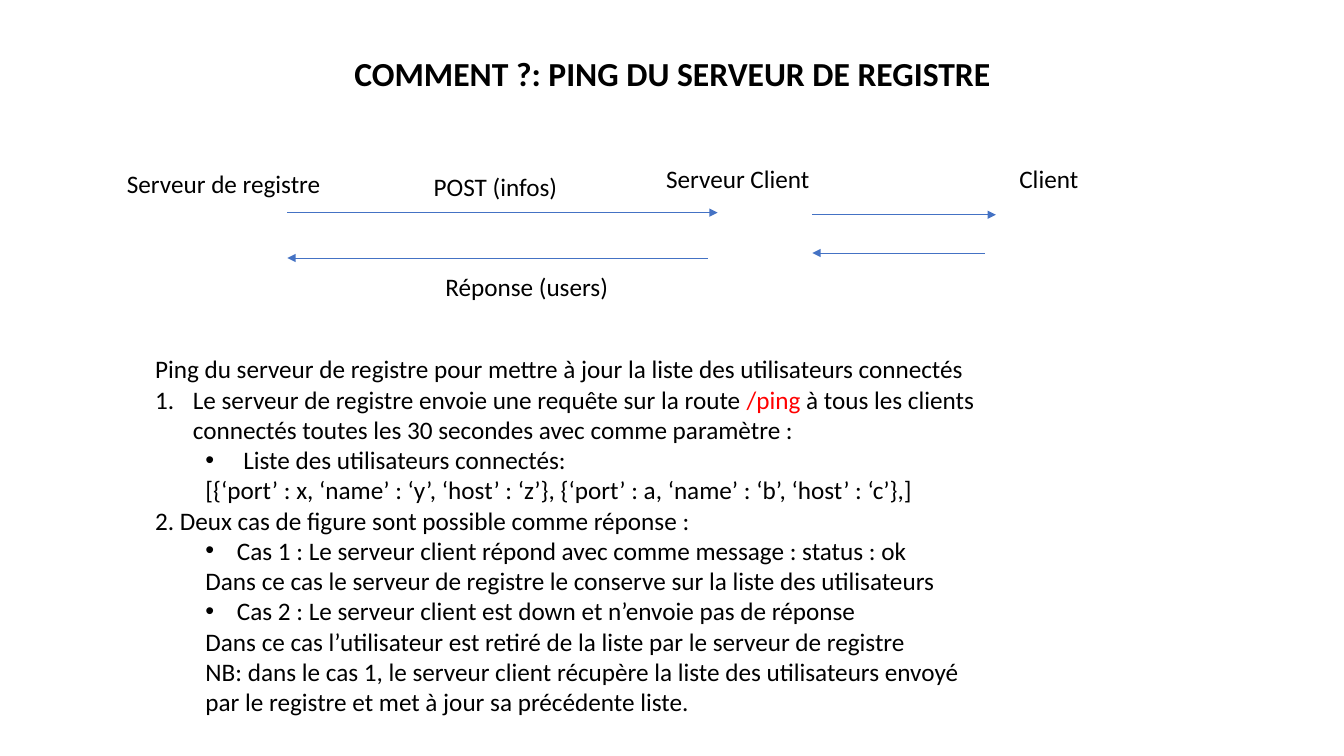
from lxml import etree
from pptx import Presentation
from pptx.dml.color import RGBColor
from pptx.enum.shapes import MSO_CONNECTOR
from pptx.enum.text import MSO_AUTO_SIZE, PP_ALIGN
from pptx.oxml.ns import qn
from pptx.util import Pt

STRAIGHT = MSO_CONNECTOR.STRAIGHT
LEFT, CENTER = PP_ALIGN.LEFT, PP_ALIGN.CENTER
GROW = MSO_AUTO_SIZE.SHAPE_TO_FIT_TEXT
FONT = "Calibri"
BLACK, RED, BLUE = "000000", "FF0000", "4472C4"

LABELS = [
    ("Serveur de registre", 80.6, 116.6, 158.4, 29, CENTER),
    ("POST (infos)", 288, 118.8, 131.8, 29, CENTER),
    ("Réponse (users)", 304.6, 190.1, 143.3, 29, CENTER),
    ("Serveur Client", 468.7, 113, 180, 51, LEFT),
    ("Client", 704.9, 113, 88.6, 29, CENTER),
]

ARROWS = [
    (205.2, 512.6, 151.9),
    (505.4, 205.2, 184.3),
    (580.3, 711.4, 153.4),
    (703.4, 580.3, 180.7),
]

PLAIN = (0, 0, 0, "")
NUMBER = (0, 27, -27, "number")
LIST = (1, 63, -27, "dot")
CASE = (1, 58.5, -22.5, "dot")
NOTE = (1, 36, 0, "")

STEPS = [
    (PLAIN, [("Ping du serveur de registre pour mettre à jour la liste des utilisateurs connectés", BLACK)]),
    (NUMBER, [
        ("Le serveur de registre envoie une requête sur la route ", BLACK),
        ("/ping ", RED),
        ("à tous les clients connectés toutes les 30 secondes avec comme paramètre :", BLACK),
    ]),
    (LIST, [("Liste des utilisateurs connectés:", BLACK)]),
    (NOTE, [("[{‘port’ : x, ‘name’ : ‘y’, ‘host’ : ‘z’}, {‘port’ : a, ‘name’ : ‘b’, ‘host’ : ‘c’},]", BLACK)]),
    (PLAIN, [("2. Deux cas de figure sont possible comme réponse :", BLACK)]),
    (CASE, [("Cas 1 : Le serveur client répond avec comme message : status : ok", BLACK)]),
    (NOTE, [("Dans ce cas le serveur de registre le conserve sur la liste des utilisateurs", BLACK)]),
    (CASE, [("Cas 2 : Le serveur client est down et n’envoie pas de réponse", BLACK)]),
    (NOTE, [("Dans ce cas l’utilisateur est retiré de la liste par le serveur de registre", BLACK)]),
    (NOTE, [("NB: dans le cas 1, le serveur client récupère la liste des utilisateurs envoyé "
             "par le registre et met à jour sa précédente liste.", BLACK)]),
]


def color(code):
    return RGBColor.from_string(code)


def add_box(slide, left, top, width, height):
    box = slide.shapes.add_textbox(Pt(left), Pt(top), Pt(width), Pt(height))
    frame = box.text_frame
    frame.word_wrap = True
    frame.auto_size = GROW
    return frame


def set_font(para, size=18, bold=False):
    font = para.font
    font.name = FONT
    font.size = Pt(size)
    font.bold = bold
    font.color.rgb = color(BLACK)


def add_label(slide, text, left, top, width, height, align, size=18, bold=False):
    para = add_box(slide, left, top, width, height).paragraphs[0]
    para.text = text
    para.alignment = align
    set_font(para, size, bold)


def add_arrow(slide, start, end, top):
    line = slide.shapes.add_connector(STRAIGHT, Pt(start), Pt(top), Pt(end), Pt(top))
    line.line.color.rgb = color(BLUE)
    line.line.width = Pt(0.5)
    etree.SubElement(line.line._get_or_add_ln(), qn("a:tailEnd"), type="triangle")
    etree.SubElement(line._element.spPr, qn("a:effectLst"))


def set_list(para, level, margin, indent, mark):
    para.level = level
    props = para._p.get_or_add_pPr()
    props.set("marL", str(Pt(margin)))
    props.set("indent", str(Pt(indent)))
    if mark == "number":
        etree.SubElement(props, qn("a:buFont"), typeface="+mj-lt")
        etree.SubElement(props, qn("a:buAutoNum"), type="arabicPeriod")
    elif mark == "dot":
        etree.SubElement(props, qn("a:buFont"), typeface="Arial")
        etree.SubElement(props, qn("a:buChar"), char="•")


def add_steps(slide, steps, left, top, width, height):
    frame = add_box(slide, left, top, width, height)
    for index, (style, parts) in enumerate(steps):
        para = frame.add_paragraph() if index else frame.paragraphs[0]
        set_list(para, *style)
        set_font(para)
        for text, code in parts:
            run = para.add_run()
            run.text = text
            if code != BLACK:
                run.font.color.rgb = color(code)


def main():
    deck = Presentation()
    deck.slide_width, deck.slide_height = Pt(960), Pt(540)
    slide = deck.slides.add_slide(deck.slide_layouts[6])
    add_label(slide, "COMMENT ?: PING DU SERVEUR DE REGISTRE",
              135.4, 34.6, 689.8, 36, CENTER, 24, True)
    for label in LABELS:
        add_label(slide, *label)
    for arrow in ARROWS:
        add_arrow(slide, *arrow)
    add_steps(slide, STEPS, 103.7, 249.1, 609.1, 290.9)
    deck.save("out.pptx")


if __name__ == "__main__":
    main()
